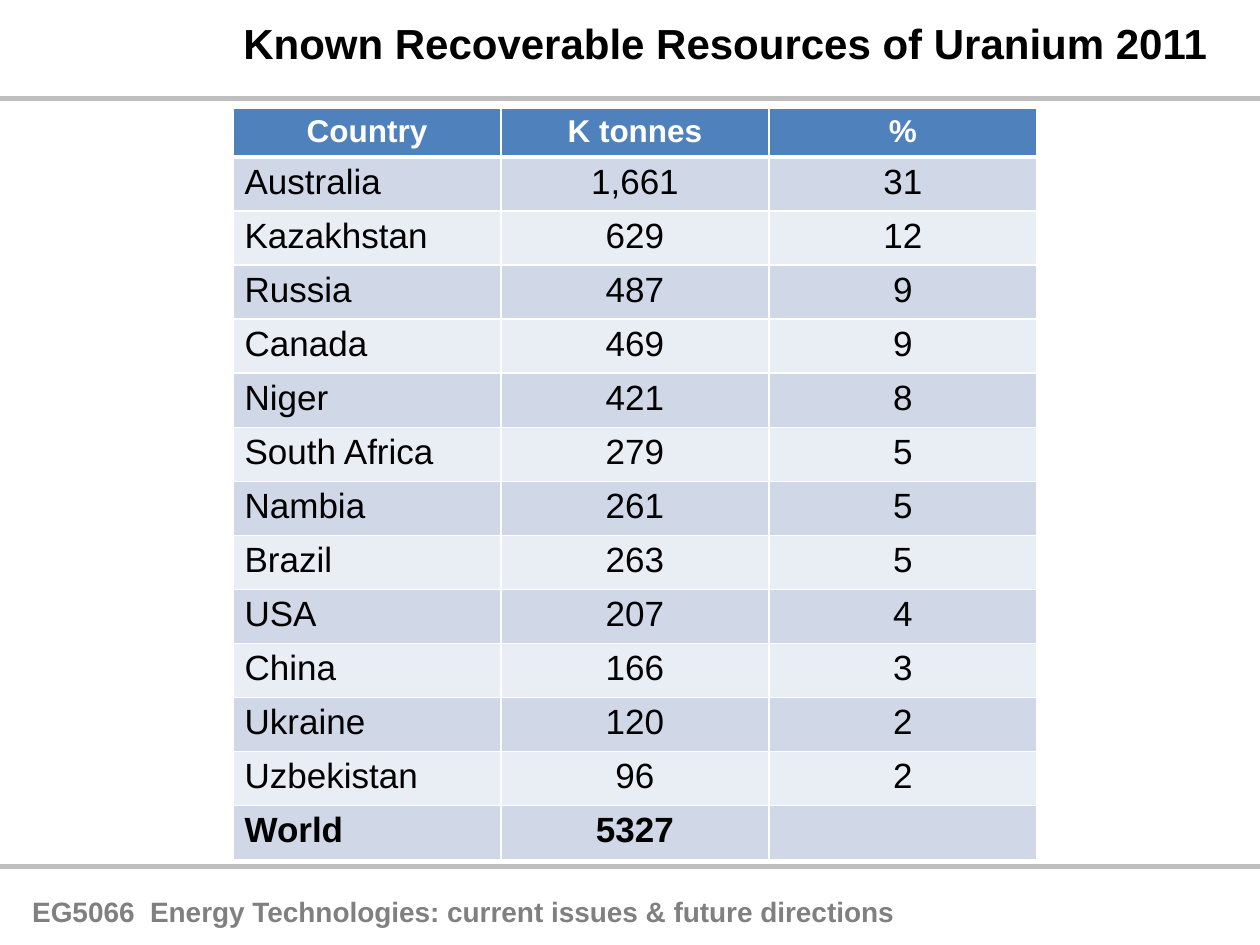
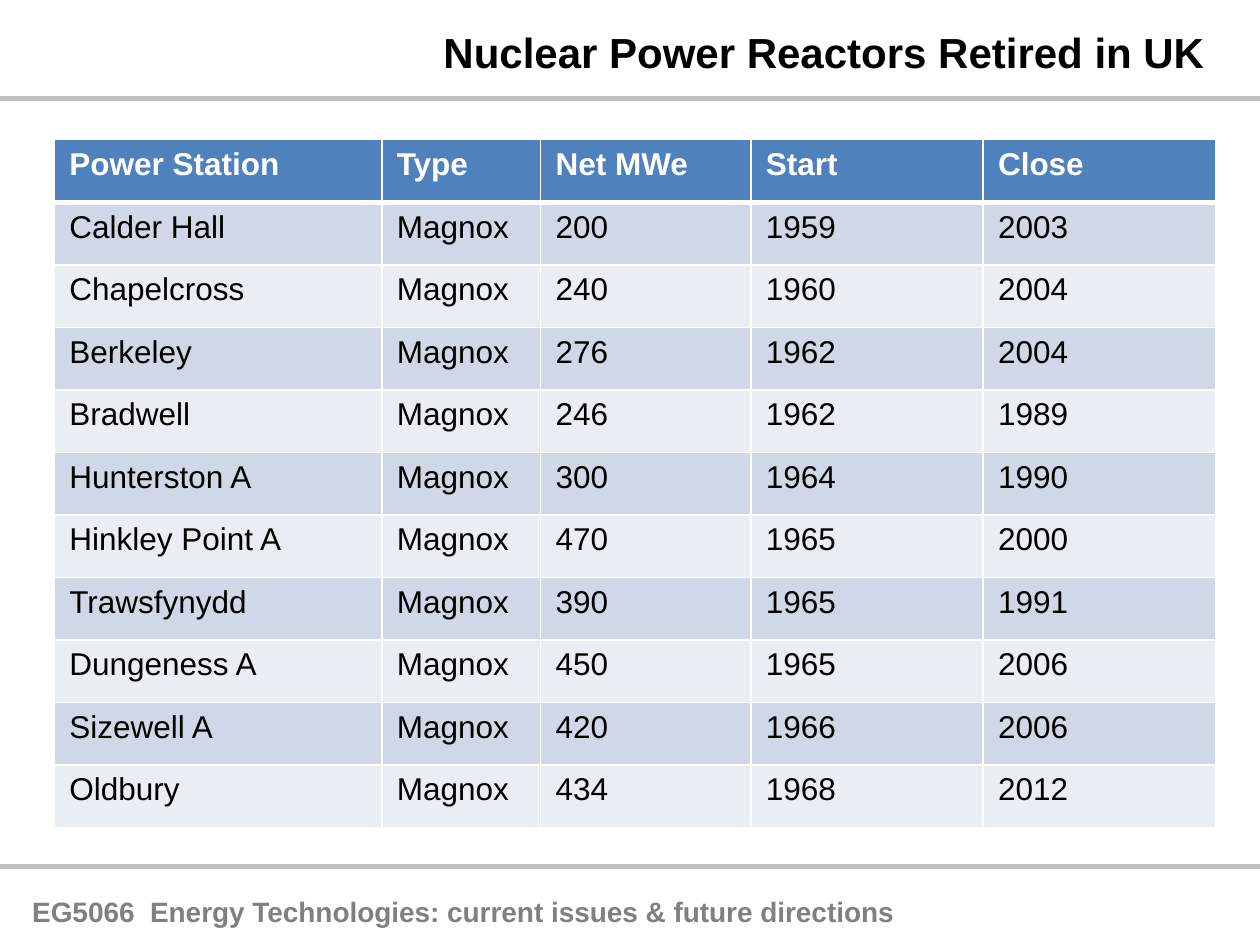
import pptx
import pptx.dml.color
import pptx.enum.shapes
import pptx.enum.text
import pptx.oxml
import pptx.oxml.ns
import pptx.util
from pptx.util import Cm

COLOURS = {
    "title": "000000", "body": "000000", "footer": "808080", "rule": "BFBFBF",
    "header": "4F81BD", "header_text": "FFFFFF", "border": "FFFFFF",
    "odd_band": "D0D8E8", "even_band": "E9EDF4",
}
FONT = "Arial"
ALIGN = pptx.enum.text.PP_ALIGN
LEFT, CENTRE, RIGHT = ALIGN.LEFT, ALIGN.CENTER, ALIGN.RIGHT

SLIDE_WIDTH, SLIDE_HEIGHT = Cm(25.4), Cm(19.05)
RULE_HEIGHTS = (Cm(17.47), Cm(1.98))
FOOTER = "EG5066  Energy Technologies: current issues & future directions"
FOOTER_BOX = (Cm(0.4), Cm(17.9), Cm(18.1), Cm(0.94))

URANIUM = {
    "title": "Known Recoverable Resources of Uranium 2011",
    "title_box": (Cm(4.45), Cm(0.23), Cm(20.14), Cm(1.28)),
    "title_align": RIGHT,
    "header": ("Country", "K tonnes", "%"),
    "rows": [
        ("Australia", "1,661", "31"),
        ("Kazakhstan", "629", "12"),
        ("Russia", "487", "9"),
        ("Canada", "469", "9"),
        ("Niger", "421", "8"),
        ("South Africa", "279", "5"),
        ("Nambia", "261", "5"),
        ("Brazil", "263", "5"),
        ("USA", "207", "4"),
        ("China", "166", "3"),
        ("Ukraine", "120", "2"),
        ("Uzbekistan", "96", "2"),
        ("World", "5327", ""),
    ],
    "total": "World",
    "corner": (Cm(4.7), Cm(2.18)),
    "columns": [Cm(5.4)] * 3,
    "header_height": Cm(0.98),
    "row_height": Cm(1.09),
    "insets": (Cm(0.23), Cm(0.11)),
    "body_size": 20,
    "header_align": (CENTRE, CENTRE, CENTRE),
    "body_align": (LEFT, CENTRE, CENTRE),
}

REACTORS = {
    "title": "Nuclear Power Reactors Retired in UK",
    "title_box": (Cm(8.69), Cm(0.41), Cm(16), Cm(1.28)),
    "title_align": LEFT,
    "header": ("Power Station", "Type", "Net MWe", "Start", "Close"),
    "rows": [
        (station, "Magnox", output, start, close)
        for station, output, start, close in [
            ("Calder Hall", "200", "1959", "2003"),
            ("Chapelcross", "240", "1960", "2004"),
            ("Berkeley", "276", "1962", "2004"),
            ("Bradwell", "246", "1962", "1989"),
            ("Hunterston A", "300", "1964", "1990"),
            ("Hinkley Point A", "470", "1965", "2000"),
            ("Trawsfynydd", "390", "1965", "1991"),
            ("Dungeness A", "450", "1965", "2006"),
            ("Sizewell A", "420", "1966", "2006"),
            ("Oldbury", "434", "1968", "2012"),
        ]
    ],
    "total": None,
    "corner": (Cm(1.1), Cm(2.81)),
    "columns": [Cm(6.6), Cm(3.2), Cm(4.24), Cm(4.68), Cm(4.68)],
    "header_height": Cm(1.27),
    "row_height": Cm(1.26),
    "insets": (Cm(0.3), Cm(0.15)),
    "body_size": 18,
    "header_align": [LEFT] * 5,
    "body_align": [LEFT] * 5,
}


def rgb(name):
    return pptx.dml.color.RGBColor.from_string(COLOURS[name])


def write_text(frame, text, size=18, colour="body", bold=False, align=LEFT):
    paragraph = frame.paragraphs[0]
    paragraph.alignment = align
    run = paragraph.add_run()
    run.text = text
    run.font.name = FONT
    run.font.size = pptx.util.Pt(size)
    run.font.bold = bold
    run.font.color.rgb = rgb(colour)


def add_label(slide, box, text, **text_format):
    frame = slide.shapes.add_textbox(*box).text_frame
    frame.word_wrap = False
    frame.auto_size = pptx.enum.text.MSO_AUTO_SIZE.SHAPE_TO_FIT_TEXT
    write_text(frame, text, bold=True, **text_format)


def add_rule(slide, y):
    rule = slide.shapes.add_connector(
        pptx.enum.shapes.MSO_CONNECTOR.STRAIGHT, 0, y, SLIDE_WIDTH, y)
    rule.line.color.rgb = rgb("rule")
    rule.line.width = pptx.util.Pt(3)
    rule._element.spPr.append(pptx.oxml.parse_xml(
        f"<a:effectLst {pptx.oxml.ns.nsdecls('a')}/>"))


def set_borders(cell, **widths):
    """Draw the cell's borders; widths are points keyed by side L, R, T, B."""
    properties = cell._tc.get_or_add_tcPr()
    for side, width in widths.items():
        properties.append(pptx.oxml.parse_xml(
            f"<a:ln{side} {pptx.oxml.ns.nsdecls('a')} w='{pptx.util.Pt(width)}'>"
            f"<a:solidFill><a:srgbClr val='{COLOURS['border']}'/></a:solidFill>"
            f"</a:ln{side}>"))


def add_data_table(slide, content):
    rows = [content["header"], *content["rows"]]
    columns = content["columns"]
    heights = [content["header_height"]]
    heights += [content["row_height"]] * len(content["rows"])
    table = slide.shapes.add_table(
        len(rows), len(columns), *content["corner"], sum(columns), sum(heights)).table
    for column, width in zip(table.columns, columns):
        column.width = width
    for row, height in zip(table.rows, heights):
        row.height = height

    for r, values in enumerate(rows):
        if r == 0:
            fill, aligns = "header", content["header_align"]
            text_format = {"colour": "header_text", "bold": True}
        else:
            fill = "odd_band" if r % 2 else "even_band"
            aligns = content["body_align"]
            text_format = {"size": content["body_size"],
                           "bold": values[0] == content["total"]}
        for c, (value, align) in enumerate(zip(values, aligns)):
            cell = table.cell(r, c)
            cell.margin_left = cell.margin_right = content["insets"][0]
            cell.margin_top = cell.margin_bottom = content["insets"][1]
            set_borders(cell, L=1, R=1, T=3 if r == 1 else 1, B=3 if r == 0 else 1)
            cell.fill.solid()
            cell.fill.fore_color.rgb = rgb(fill)
            if value:
                write_text(cell.text_frame, value, align=align, **text_format)


def add_content_slide(deck, content):
    slide = deck.slides.add_slide(deck.slide_layouts[6])
    add_label(slide, FOOTER_BOX, FOOTER, size=16, colour="footer")
    for y in RULE_HEIGHTS:
        add_rule(slide, y)
    add_label(slide, content["title_box"], content["title"], size=24,
              colour="title", align=content["title_align"])
    add_data_table(slide, content)


def main():
    deck = pptx.Presentation()
    deck.slide_width, deck.slide_height = SLIDE_WIDTH, SLIDE_HEIGHT
    for content in (URANIUM, REACTORS):
        add_content_slide(deck, content)
    deck.save("out.pptx")


if __name__ == "__main__":
    main()
